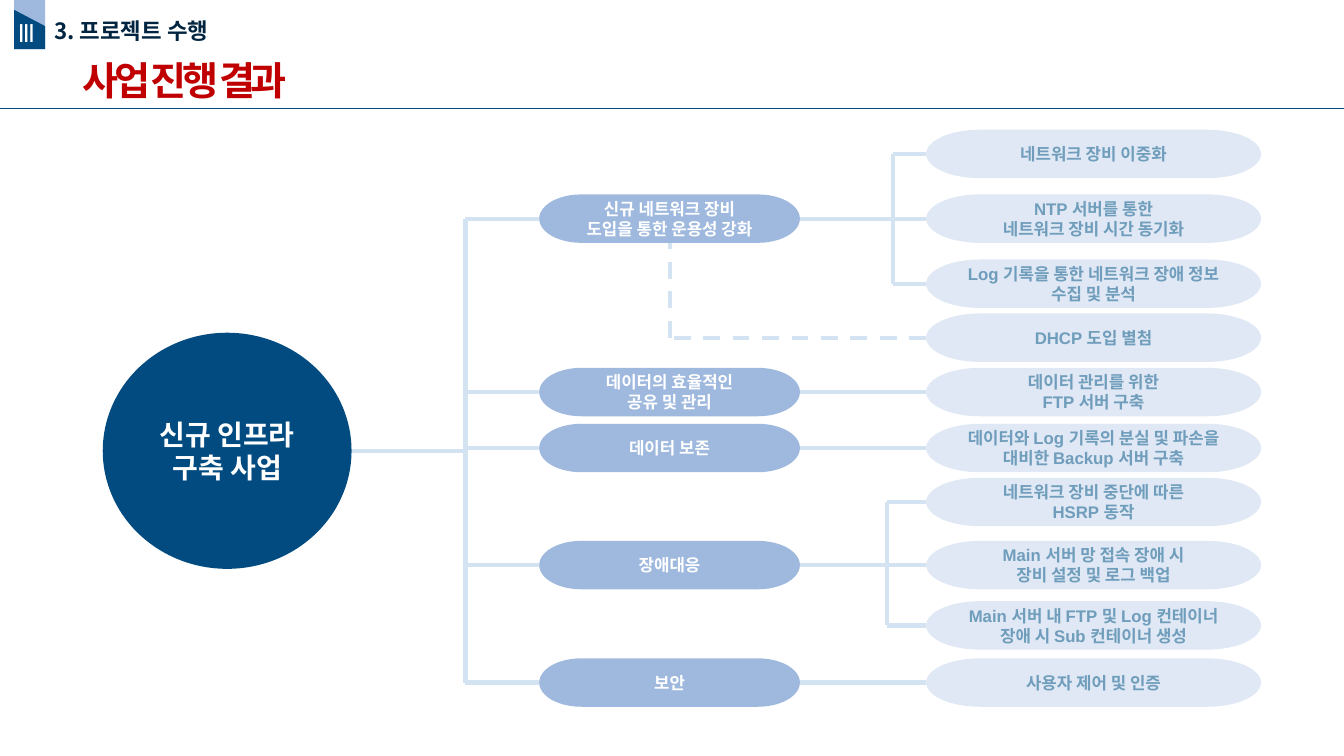
from lxml.etree import SubElement
from pptx import Presentation
from pptx.dml.color import RGBColor
from pptx.enum.dml import MSO_LINE
from pptx.enum.shapes import MSO_CONNECTOR, MSO_SHAPE
from pptx.enum.text import MSO_ANCHOR, PP_ALIGN
from pptx.oxml.ns import qn
from pptx.util import Cm, Pt

COLORS = {
    "navy": "024B80", "ink": "012540", "red": "C00000", "white": "FFFFFF",
    "branch": "9FB9DE", "outcome": "DFE8F4", "outcome text": "6F9DBB", "link": "D3E3F2",
}
KOREAN = "Noto Sans CJK KR"
FORMATS = {
    "numeral": ({"size": Pt(18), "name": "Roboto"}, "white"),
    "chapter": ({"size": Pt(16), "name": KOREAN, "bold": True}, "ink"),
    "title": ({"size": Pt(28), "name": KOREAN, "bold": True}, "red"),
    "project": ({"size": Pt(20), "name": "Arial", "bold": True}, "white"),
    "branch": ({"size": Pt(12), "name": "Arial", "bold": True}, "white"),
    "outcome": ({"size": Pt(12), "name": "Arial", "bold": True}, "outcome text"),
}

presentation = Presentation()
presentation.slide_width, presentation.slide_height = Cm(33.87), Cm(19.05)
slide = presentation.slides.add_slide(presentation.slide_layouts[6])


def write(frame, text, style, align):
    """Fill a text frame and format all of its runs."""
    frame.word_wrap = True
    frame.text = text
    values, color = FORMATS[style]
    for paragraph in frame.paragraphs:
        paragraph.alignment = align
        for run in paragraph.runs:
            for name, value in values.items():
                setattr(run.font, name, value)
            run.font.color.rgb = RGBColor.from_string(COLORS[color])
            SubElement(run.font._element, qn("a:ea"), typeface=KOREAN)


def link(x1, y1, x2, y2, color="link", width=3, dash=None):
    """Draw a straight line between two points given in centimetres."""
    line = slide.shapes.add_connector(MSO_CONNECTOR.STRAIGHT, Cm(x1), Cm(y1), Cm(x2), Cm(y2))
    line.line.color.rgb = RGBColor.from_string(COLORS[color])
    line.line.width = Pt(width)
    if dash:
        line.line.dash_style = dash
    SubElement(line._element.spPr, qn("a:effectLst"))


# Header rule and chapter emblem
link(0, 2.72, 33.87, 2.72, "navy", 0.5)
emblem = slide.shapes.add_group_shape()
for preset, top, height, color in [
    (MSO_SHAPE.RECTANGLE, 0, 1.24, "branch"),
    (MSO_SHAPE.SNIP_1_RECTANGLE, 0.66, 0.58, "navy"),
    (MSO_SHAPE.RIGHT_TRIANGLE, 0.25, 0.41, "navy"),
]:
    facet = emblem.shapes.add_shape(preset, Cm(0.36), Cm(top), Cm(0.78), Cm(height))
    facet.shadow.inherit = False
    facet.fill.solid()
    facet.fill.fore_color.rgb = RGBColor.from_string(COLORS[color])
    facet.line.fill.background()
    if preset == MSO_SHAPE.SNIP_1_RECTANGLE:
        facet.adjustments[0] = 0.01
for bar in range(3):
    numeral = emblem.shapes.add_textbox(Cm(0.45 + 0.13 * bar), Cm(0.3), Cm(0.2), Cm(1))
    numeral.text_frame.margin_left = numeral.text_frame.margin_right = 0
    write(numeral.text_frame, "I", "numeral", PP_ALIGN.LEFT)

# Chapter and title
for text, style, left, top, width, height in [
    ("3. 프로젝트 수행", "chapter", 1.12, 0.3, 10.46, 0.94),
    ("사업 진행 결과", "title", 1.83, 1.3, 6.35, 1.45),
]:
    heading = slide.shapes.add_textbox(Cm(left), Cm(top), Cm(width), Cm(height))
    write(heading.text_frame, text, style, PP_ALIGN.LEFT)
heading.text_frame.paragraphs[0].runs[0].font._element.set("spc", "-300")

# Tree content: branch centre, branch text, bracket position, outcomes with their centres
BRANCHES = [
    (5.51, "신규 네트워크 장비\v도입을 통한 운용성 강화", 22.5, [
        (3.88, "네트워크 장비 이중화"),
        (5.51, "NTP 서버를 통한\v네트워크 장비 시간 동기화"),
        (7.15, "Log 기록을 통한 네트워크 장애 정보 수집 및 분석"),
    ]),
    (9.88, "데이터의 효율적인\v공유 및 관리", None, [(9.88, "데이터 관리를 위한\vFTP 서버 구축")]),
    (11.29, "데이터 보존", None, [
        (11.29, "데이터와 Log 기록의 분실 및 파손을 대비한 Backup 서버 구축"),
    ]),
    (14.24, "장애대응", 22.35, [
        (12.65, "네트워크 장비 중단에 따른\vHSRP 동작"),
        (14.24, "Main 서버 망 접속 장애 시\n장비 설정 및 로그 백업"),
        (15.76, "Main 서버 내 FTP 및 Log 컨테이너 장애 시 Sub 컨테이너 생성"),
    ]),
    (17.2, "보안", None, [(17.2, "사용자 제어 및 인증")]),
]
APPENDIX = (8.51, "DHCP 도입 별첨")
PROJECT_LEFT, PROJECT_WIDTH, PROJECT_HEIGHT, PROJECT_Y = 2.59, 6.27, 5.95, 11.36
TRUNK_X = 11.73
BRANCH_LEFT, BRANCH_WIDTH = 13.59, 6.57
OUTCOME_LEFT, OUTCOME_WIDTH = 23.34, 8.44
PILL_HEIGHT = 1.22

# Links from the project to the branches and on to the outcomes
branch_right = BRANCH_LEFT + BRANCH_WIDTH
link(PROJECT_LEFT + PROJECT_WIDTH, PROJECT_Y, 11.66, PROJECT_Y)
link(TRUNK_X, BRANCHES[0][0], TRUNK_X, BRANCHES[-1][0])
for branch_y, _, bracket_x, outcomes in BRANCHES:
    link(TRUNK_X, branch_y, BRANCH_LEFT, branch_y)
    link(branch_right, branch_y, OUTCOME_LEFT, branch_y)
    if bracket_x:
        first_y, last_y = outcomes[0][0], outcomes[-1][0]
        link(bracket_x, first_y, bracket_x, last_y)
        for outcome_y in (first_y, last_y):
            link(bracket_x, outcome_y, OUTCOME_LEFT, outcome_y)

# Dashed link to the appendix
appendix_x = BRANCH_LEFT + BRANCH_WIDTH / 2
link(OUTCOME_LEFT, APPENDIX[0], appendix_x, APPENDIX[0], dash=MSO_LINE.DASH)
link(appendix_x, APPENDIX[0], appendix_x, BRANCHES[0][0] + PILL_HEIGHT / 2, dash=MSO_LINE.DASH)

# Project circle, branch pills and outcome pills
nodes = [("project", "navy", MSO_SHAPE.FLOWCHART_CONNECTOR, PROJECT_LEFT, PROJECT_WIDTH,
          PROJECT_HEIGHT, PROJECT_Y, "신규 인프라 구축 사업")]
for branch_y, branch_text, _, outcomes in BRANCHES:
    nodes.append(("branch", "branch", MSO_SHAPE.FLOWCHART_TERMINATOR, BRANCH_LEFT, BRANCH_WIDTH,
                  PILL_HEIGHT, branch_y, branch_text))
    extra = [APPENDIX] if branch_y == BRANCHES[0][0] else []
    for outcome_y, outcome_text in outcomes + extra:
        nodes.append(("outcome", "outcome", MSO_SHAPE.FLOWCHART_TERMINATOR, OUTCOME_LEFT,
                      OUTCOME_WIDTH, PILL_HEIGHT, outcome_y, outcome_text))
for style, color, preset, left, width, height, center_y, text in nodes:
    node = slide.shapes.add_shape(preset, Cm(left), Cm(center_y - height / 2), Cm(width), Cm(height))
    node.shadow.inherit = False
    node.fill.solid()
    node.fill.fore_color.rgb = RGBColor.from_string(COLORS[color])
    node.line.fill.background()
    node.text_frame.vertical_anchor = MSO_ANCHOR.MIDDLE
    write(node.text_frame, text, style, PP_ALIGN.CENTER)

presentation.save("out.pptx")
